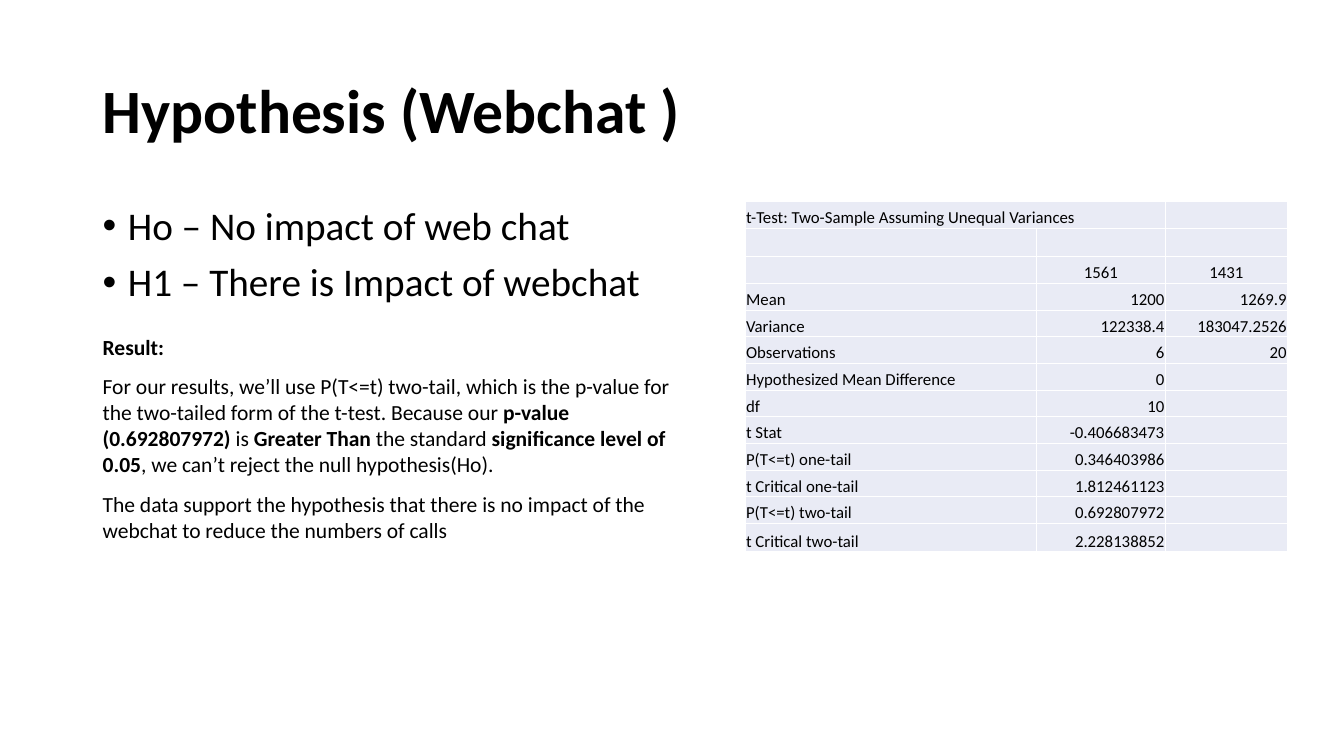
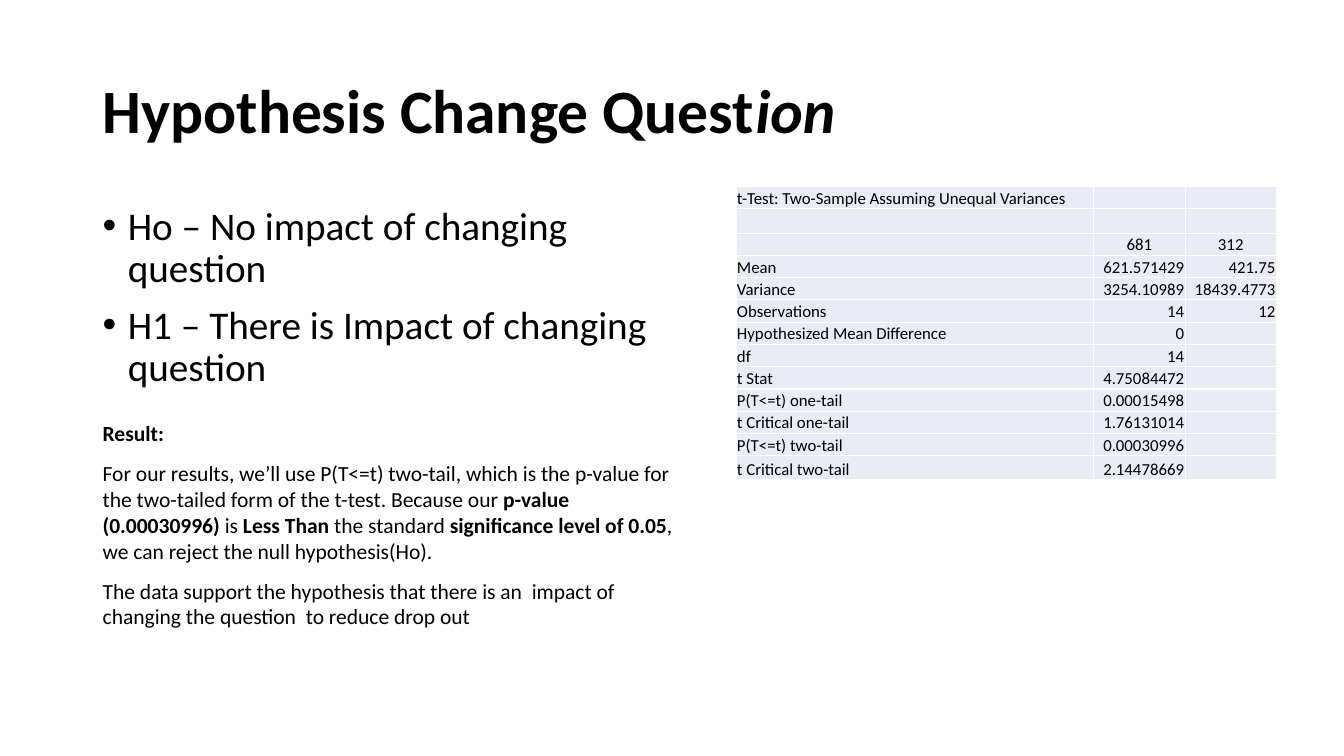
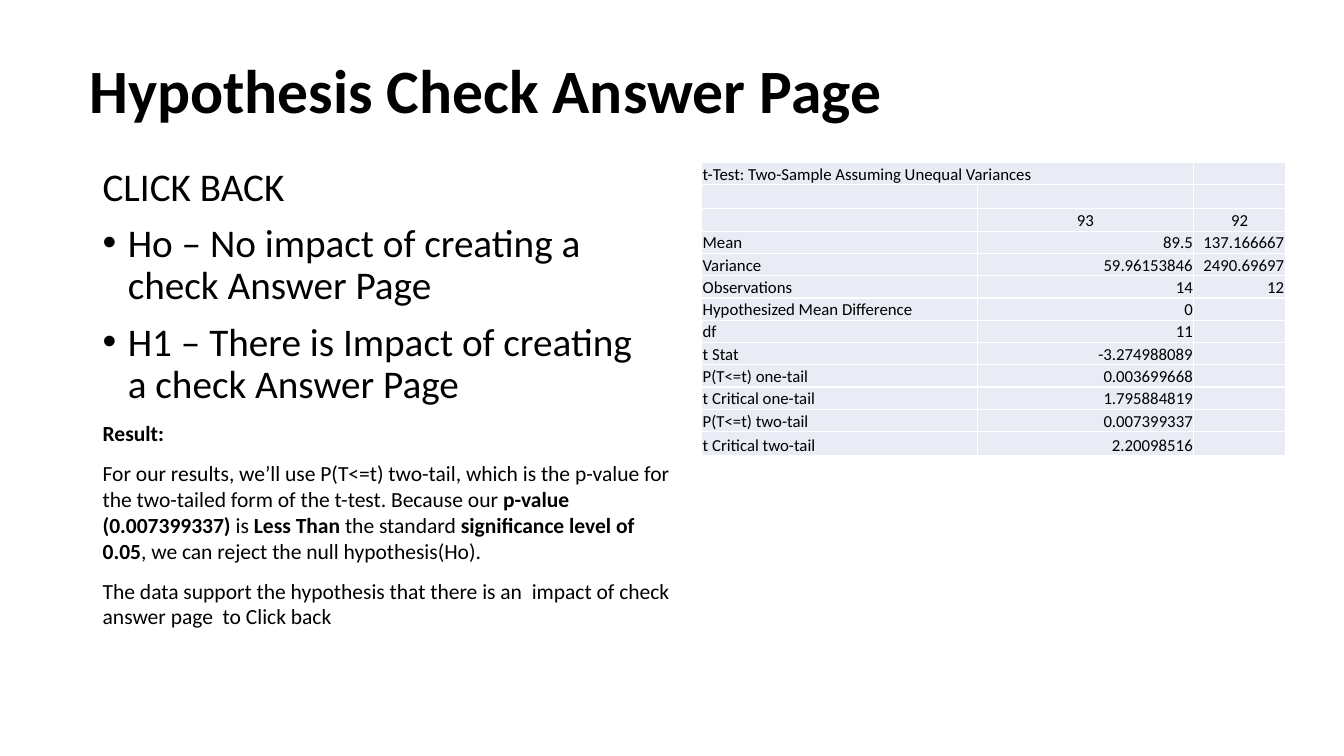
"""Build three slides that each report a two-sample t-test for one hypothesis."""
from dataclasses import dataclass

from lxml.etree import SubElement
from pptx import Presentation
from pptx.dml.color import RGBColor as Color
from pptx.enum.text import MSO_ANCHOR as Anchor, PP_ALIGN as Align
from pptx.oxml.ns import qn
from pptx.slide import Slide
from pptx.table import _Cell as Cell
from pptx.text.text import TextFrame
from pptx.util import Emu, Inches, Pt


@dataclass(frozen=True)
class Theme:
    font: str = "Calibri"
    ink: str = "000000"
    cell: str = "E9EBF5"
    rule: str = "FFFFFF"
    title: float = 44
    body: float = 28
    result: float = 15.4
    table: float = 12
    gap: float = 10
    tight: float = 0.9


@dataclass(frozen=True)
class Area:
    left: float
    top: float
    width: float
    height: float


@dataclass(frozen=True)
class Span:
    text: str
    bold: bool = False
    italic: bool = False


@dataclass(frozen=True)
class Line:
    spans: tuple[Span, ...]
    bullet: bool = False


@dataclass(frozen=True)
class TestTable:
    left: float
    top: float
    columns: tuple[float, ...]
    row: float
    edge_row: float
    merged: bool
    first: tuple[str, ...]
    second: tuple[str, ...]


@dataclass(frozen=True)
class Report:
    title: tuple[Span, ...]
    title_area: Area
    lead: str
    hypotheses: tuple[str, str]
    body_area: Area
    table: TestTable
    result_top: float
    comparison: str
    verdict: str
    conclusion: str


THEME = Theme()
WIDTH, HEIGHT = Inches(13.333), Inches(7.5)
MARGIN = 6.9
RESULT_WIDTH, RESULT_HEIGHT = 44.26, 29.47
TITLE_HEIGHT = 19.33
TABLE_HEADING = "t-Test: Two-Sample Assuming Unequal Variances"
MEASURES = ("", "Mean", "Variance", "Observations", "Hypothesized Mean Difference",
            "df", "t Stat", "P(T<=t) one-tail", "t Critical one-tail",
            "P(T<=t) two-tail", "t Critical two-tail")
P_VALUE = MEASURES.index("P(T<=t) two-tail")

REPORTS = (
    Report(
        title=(Span("Hypothesis (Webchat )", bold=True),),
        title_area=Area(MARGIN, 5.33, 90.82, TITLE_HEIGHT),
        lead="",
        hypotheses=("Ho – No impact of web chat", "H1 – There is Impact of webchat "),
        body_area=Area(MARGIN, 26.67, 44.26, 16.53),
        table=TestTable(
            55.44, 26.67, (21.67, 9.6, 9.1), 3.53, 3.77, True,
            ("1561", "1200", "122338.4", "6", "0", "10", "-0.406683473",
             "0.346403986", "1.812461123", "0.692807972", "2.228138852"),
            ("1431", "1269.9", "183047.2526", "20")),
        result_top=43.47,
        comparison="Greater Than ",
        verdict="can’t",
        conclusion="there is no impact of the webchat to reduce the numbers of calls"),
    Report(
        title=(Span("Hypothesis Change Quest", bold=True),
               Span("ion ", bold=True, italic=True)),
        title_area=Area(MARGIN, 5.33, 86.25, TITLE_HEIGHT),
        lead="",
        hypotheses=("Ho – No impact of changing question",
                    "H1 – There is Impact of changing question"),
        body_area=Area(MARGIN, 26.67, 46.2, 26.4),
        table=TestTable(
            54.76, 24.67, (26.62, 6.8, 6.8), 2.95, 3.22, False,
            ("681", "621.571429", "3254.10989", "14", "0", "14", "4.75084472",
             "0.00015498", "1.76131014", "0.00030996", "2.14478669"),
            ("312", "421.75", "18439.4773", "12")),
        result_top=54.93,
        comparison="Less Than ",
        verdict="can",
        conclusion="there is an  impact of changing the question  to reduce drop out "),
    Report(
        title=(Span("Hypothesis Check Answer Page ", bold=True),),
        title_area=Area(5.93, 2.67, 86.25, TITLE_HEIGHT),
        lead="CLICK BACK ",
        hypotheses=("Ho – No impact of creating a check Answer Page",
                    "H1 – There is Impact of creating a check Answer Page"),
        body_area=Area(MARGIN, 21.47, 40.95, 63.47),
        table=TestTable(
            52.21, 21.47, (20.5, 16.12, 6.8), 2.95, 3.22, True,
            ("93", "89.5", "59.96153846", "14", "0", "11", "-3.274988089",
             "0.003699668", "1.795884819", "0.007399337", "2.20098516"),
            ("92", "137.166667", "2490.69697", "12")),
        result_top=54.93,
        comparison="Less Than ",
        verdict="can",
        conclusion="there is an  impact of check answer page  to Click back"),
)


def across(percent: float) -> Emu:
    """Turn a percentage of the slide width into a length."""
    return Emu(round(WIDTH * percent / 100))


def down(percent: float) -> Emu:
    """Turn a percentage of the slide height into a length."""
    return Emu(round(HEIGHT * percent / 100))


def write_lines(frame: TextFrame, lines: list[Line], size: float,
                spacing: float = 1.0, gap: float = 0) -> None:
    """Write the lines run by run, with hanging bullets where asked."""
    for index, line in enumerate(lines):
        para = frame.add_paragraph() if index else frame.paragraphs[0]
        para.line_spacing = spacing
        para.space_before = Pt(gap)
        if line.bullet:
            properties = para._p.get_or_add_pPr()
            properties.set("marL", str(Inches(0.25)))
            properties.set("indent", str(-Inches(0.25)))
            SubElement(properties, qn("a:buFont"), typeface="Arial")
            SubElement(properties, qn("a:buChar"), char="•")
        for span in line.spans:
            run = para.add_run()
            run.text = span.text
            run.font.name = THEME.font
            run.font.size = Pt(size)
            run.font.bold = span.bold
            run.font.italic = span.italic
            run.font.color.rgb = Color.from_string(THEME.ink)


def add_frame(page: Slide, area: Area, anchor: Anchor = Anchor.TOP) -> TextFrame:
    """Add a wrapping text box and return its frame."""
    box = page.shapes.add_textbox(across(area.left), down(area.top),
                                  across(area.width), down(area.height))
    box.text_frame.word_wrap = True
    box.text_frame.vertical_anchor = anchor
    return box.text_frame


def style_cell(cell: Cell, text: str, align: Align) -> None:
    """Give a cell its borders, fill, insets and text."""
    properties = cell._tc.get_or_add_tcPr()
    for side in ("lnL", "lnR", "lnT", "lnB"):
        border = SubElement(properties, qn(f"a:{side}"), w=str(Pt(1)))
        fill = SubElement(border, qn("a:solidFill"))
        SubElement(fill, qn("a:srgbClr"), val=THEME.rule)
    cell.fill.solid()
    cell.fill.fore_color.rgb = Color.from_string(THEME.cell)
    cell.margin_left = cell.margin_right = cell.margin_top = Inches(0.01)
    cell.margin_bottom = 0
    cell.vertical_anchor = Anchor.BOTTOM
    para = cell.text_frame.paragraphs[0]
    if text:
        write_lines(cell.text_frame, [Line((Span(text),))], THEME.table)
        para.alignment = align
    else:
        SubElement(para._p, qn("a:endParaRPr"), sz=str(THEME.table * 100))


def add_test_table(page: Slide, test: TestTable) -> None:
    """Add the t-test table, with taller second and last rows."""
    second = test.second + ("",) * (len(MEASURES) - len(test.second))
    rows = [(TABLE_HEADING, "", ""), ("", "", ""), *zip(MEASURES, test.first, second)]
    heights = [test.edge_row if index in (1, len(rows) - 1) else test.row
               for index in range(len(rows))]
    table = page.shapes.add_table(
        len(rows), len(test.columns), across(test.left), down(test.top),
        across(sum(test.columns)), down(sum(heights))).table
    table.first_row = table.horz_banding = False
    for column, width in zip(table.columns, test.columns):
        column.width = across(width)
    for row_index, (texts, height) in enumerate(zip(rows, heights)):
        table.rows[row_index].height = down(height)
        number_align = Align.CENTER if row_index == 2 else Align.RIGHT
        for column_index, text in enumerate(texts):
            align = number_align if column_index else Align.LEFT
            style_cell(table.cell(row_index, column_index), text, align)
    if test.merged:
        table.cell(0, 0).merge(table.cell(0, 1))


def result_lines(report: Report) -> list[Line]:
    """Word the result from the test's p-value and the verdict."""
    return [
        Line((Span("Result:", bold=True),)),
        Line((
            Span("For our results, we’ll use P(T<=t) two-tail, which is the p-value "
                 "for the two-tailed form of the t-test. Because our "),
            Span(f"p-value ({report.table.first[P_VALUE]}) ", bold=True),
            Span("is "),
            Span(report.comparison, bold=True),
            Span("the standard "),
            Span("significance level of 0.05", bold=True),
            Span(f", we {report.verdict} reject the null hypothesis(Ho). "))),
        Line((Span(f"The data support the hypothesis that {report.conclusion}"),)),
    ]


def add_report(deck: Presentation, report: Report) -> None:
    """Add one slide with title, hypotheses, table and result."""
    page = deck.slides.add_slide(deck.slide_layouts[6])
    write_lines(add_frame(page, report.title_area, Anchor.MIDDLE),
                [Line(report.title)], THEME.title, THEME.tight)
    lead = [Line((Span(report.lead),))] if report.lead else []
    bullets = [Line((Span(text),), bullet=True) for text in report.hypotheses]
    write_lines(add_frame(page, report.body_area), lead + bullets,
                THEME.body, THEME.tight, THEME.gap)
    add_test_table(page, report.table)
    result_area = Area(MARGIN, report.result_top, RESULT_WIDTH, RESULT_HEIGHT)
    write_lines(add_frame(page, result_area), result_lines(report),
                THEME.result, gap=THEME.gap)


def main() -> None:
    """Build and save the deck."""
    deck = Presentation()
    deck.slide_width, deck.slide_height = WIDTH, HEIGHT
    for report in REPORTS:
        add_report(deck, report)
    deck.save("out.pptx")


main()
